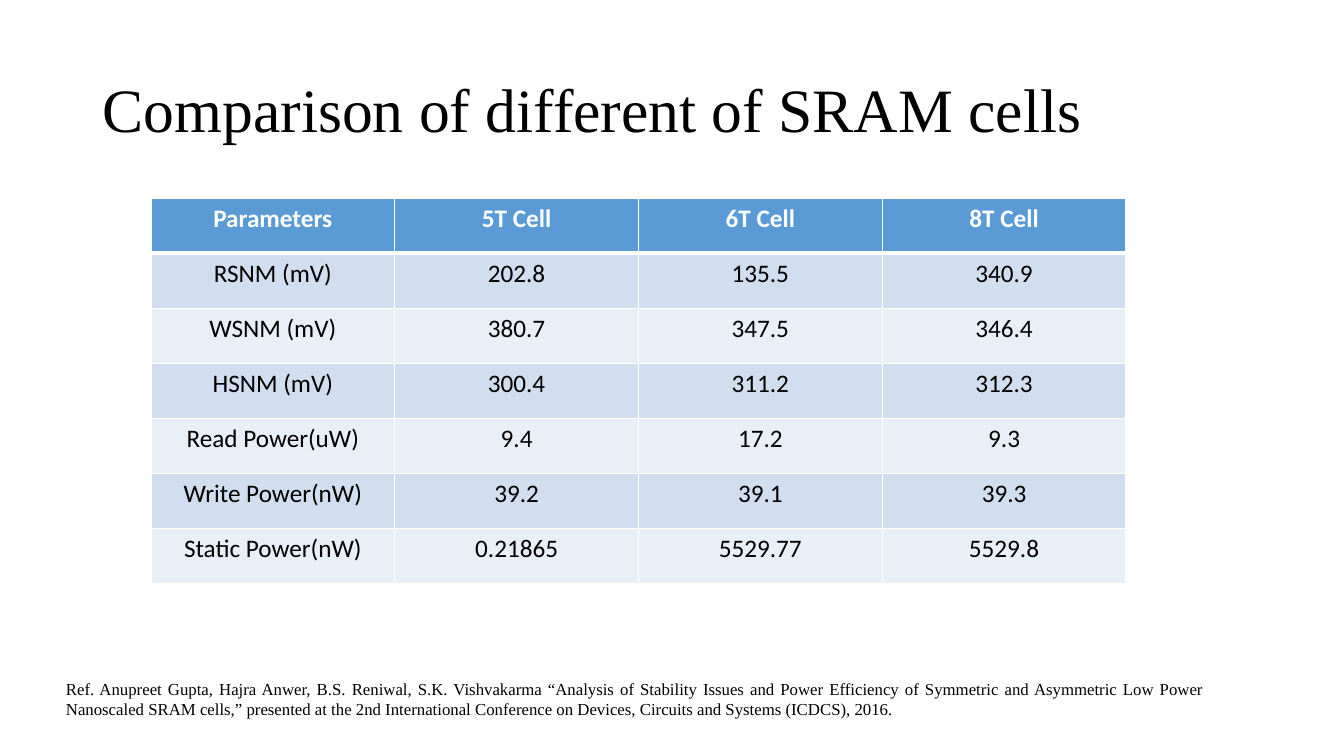
from lxml import etree
from pptx import Presentation
from pptx.dml.color import RGBColor
from pptx.enum.text import MSO_ANCHOR, PP_ALIGN
from pptx.oxml.ns import qn
from pptx.util import Emu, Pt

LEFT, CENTER, JUSTIFY = PP_ALIGN.LEFT, PP_ALIGN.CENTER, PP_ALIGN.JUSTIFY
TOP, MIDDLE = MSO_ANCHOR.TOP, MSO_ANCHOR.MIDDLE

BLACK = RGBColor(0x00, 0x00, 0x00)
WHITE = RGBColor(0xFF, 0xFF, 0xFF)
HEADER_BLUE = RGBColor(0x5B, 0x9B, 0xD5)
BAND_DARK = RGBColor(0xD1, 0xDE, 0xEF)
BAND_LIGHT = RGBColor(0xE9, 0xEF, 0xF7)

SERIF, SANS = "Times New Roman", "Calibri"
THIN, THICK = 0.96, 3

TITLE = "Comparison of different of SRAM cells"
REFERENCE = (
    "Ref. Anupreet Gupta, Hajra Anwer, B.S. Reniwal, S.K. Vishvakarma "
    "“Analysis of Stability Issues and Power Efficiency of Symmetric and "
    "Asymmetric Low Power Nanoscaled SRAM cells,” presented at the 2nd "
    "International Conference on Devices, Circuits and Systems (ICDCS), 2016."
)
COMPARISON = [
    ("Parameters", "5T Cell", "6T Cell", "8T Cell"),
    ("RSNM (mV)", "202.8", "135.5", "340.9"),
    ("WSNM (mV)", "380.7", "347.5", "346.4"),
    ("HSNM (mV)", "300.4", "311.2", "312.3"),
    ("Read Power(uW)", "9.4", "17.2", "9.3"),
    ("Write Power(nW)", "39.2", "39.1", "39.3"),
    ("Static Power(nW)", "0.21865", "5529.77", "5529.8"),
]


def px(pixels):
    """Convert pixels, at 100.8 to the inch, to EMU."""
    return Emu(round(pixels * 914400 / 100.8))


def write(frame, text, size, font=SERIF, color=BLACK, bold=False, align=LEFT, spacing=1.0):
    """Put one formatted paragraph into a text frame."""
    paragraph = frame.paragraphs[0]
    paragraph.alignment = align
    paragraph.line_spacing = spacing
    run = paragraph.add_run()
    run.text = text
    run.font.size = Pt(size)
    run.font.name = font
    run.font.bold = bold
    run.font.color.rgb = color


def add_text(slide, box, text, anchor=TOP, **text_format):
    """Add a wrapping text box that fills the given box."""
    frame = slide.shapes.add_textbox(*map(px, box)).text_frame
    frame.word_wrap = True
    frame.vertical_anchor = anchor
    write(frame, text, **text_format)


def set_borders(cell, **widths):
    """Draw white cell borders, keyed by side, with widths in points."""
    properties = cell._tc.get_or_add_tcPr()
    for index, (side, width) in enumerate(widths.items()):
        line = etree.Element(qn(f"a:ln{side}"), w=str(Pt(width)))
        fill = etree.SubElement(line, qn("a:solidFill"))
        etree.SubElement(fill, qn("a:srgbClr"), val=str(WHITE))
        properties.insert(index, line)


def add_comparison(slide, box, rows):
    """Add the banded comparison table with equal rows and columns."""
    left, top, width, height = box
    table = slide.shapes.add_table(len(rows), len(rows[0]), *map(px, box)).table
    for column in table.columns:
        column.width = px(width / len(rows[0]))
    for row in table.rows:
        row.height = px(height / len(rows))
    for r, values in enumerate(rows):
        header = r == 0
        band = HEADER_BLUE if header else BAND_DARK if r % 2 else BAND_LIGHT
        for c, value in enumerate(values):
            cell = table.cell(r, c)
            cell.fill.solid()
            cell.fill.fore_color.rgb = band
            write(cell.text_frame, value, 18, font=SANS, bold=header,
                  color=WHITE if header else BLACK, align=CENTER)
            set_borders(cell, L=THIN, R=THIN, T=THICK if r == 1 else THIN,
                        B=THICK if header else THIN)


def add_comparison_slide(presentation, box):
    """Add the slide with its title, table and reference."""
    left, top, width, height = box
    slide = presentation.slides.add_slide(presentation.slide_layouts[6])
    add_text(slide, (left + 93, top + 40, width - 185, 146), TITLE,
             anchor=MIDDLE, size=44, spacing=0.9)
    add_comparison(slide, (left + 151, top + 198, 975, 386), COMPARISON)
    add_text(slide, (left + 56, top + 674, width - 185, 81), REFERENCE,
             size=12, align=JUSTIFY)


def main():
    """Build and save the presentation."""
    presentation = Presentation()
    width, height = 1344, 756
    presentation.slide_width, presentation.slide_height = px(width), px(height)
    add_comparison_slide(presentation, (0, 0, width, height))
    presentation.save("out.pptx")


main()
